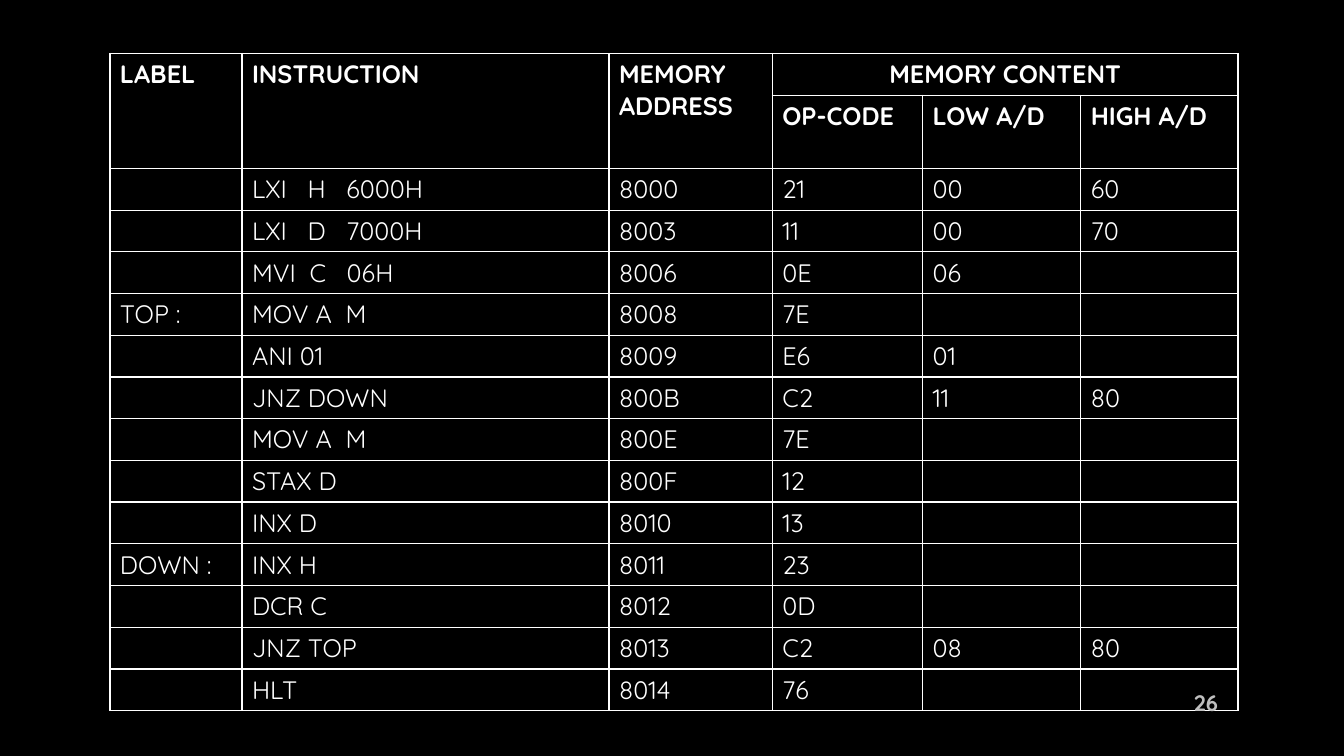
from lxml import etree
from pptx import Presentation
from pptx import util as u
from pptx.dml.color import RGBColor
from pptx.enum import text
from pptx.oxml import ns

BLACK = RGBColor(0x00, 0x00, 0x00)
WHITE = RGBColor(0xFF, 0xFF, 0xFF)
GREY = RGBColor(0xBF, 0xBF, 0xBF)

WIDTH, HEIGHT = 13.33, 7.5
COLUMNS = [1.31, 3.64, 1.62, 1.49, 1.57, 1.56]
ROW, SUBHEADER_ROW = 0.41, 0.72

HEADERS = [
    ["LABEL", "INSTRUCTION", "MEMORY ADDRESS", "MEMORY CONTENT", "", ""],
    ["", "", "", "OP-CODE", "LOW A/D", "HIGH A/D"],
]
PROGRAM = [
    ["", "LXI   H   6000H", "8000", "21", "00", "60"],
    ["", "LXI   D   7000H", "8003", "11", "00", "70"],
    ["", "MVI  C   06H", "8006", "0E", "06", ""],
    ["TOP :", "MOV A  M", "8008", "7E", "", ""],
    ["", "ANI 01", "8009", "E6", "01", ""],
    ["", "JNZ DOWN", "800B", "C2", "11", "80"],
    ["", "MOV A  M", "800E", "7E", "", ""],
    ["", "STAX D", "800F", "12", "", ""],
    ["", "INX D", "8010", "13", "", ""],
    ["DOWN :", "INX H", "8011", "23", "", ""],
    ["", "DCR C", "8012", "0D", "", ""],
    ["", "JNZ TOP", "8013", "C2", "08", "80"],
    ["", "HLT", "8014", "76", "", ""],
]
CLOSING_ROW = [""] * len(COLUMNS)
# Each merge runs from (row, column) to (row, column)
MERGES = [((0, column), (1, column)) for column in range(3)]
MERGES += [((0, 3), (0, 5)), ((15, 0), (15, 5))]


class SlideBuilder:
    """Holds the text style and the current slide."""

    style = {"name": "Quicksand", "size": u.Pt(18), "bold": False}

    def __init__(self, presentation):
        self.presentation = presentation
        self.slide = presentation.slides.add_slide(presentation.slide_layouts[6])
        self.slide.background.fill.solid()
        self.slide.background.fill.fore_color.rgb = BLACK

    def place(self, left, top, width, height):
        """Turn shares of the slide's size into lengths."""
        across, down = self.presentation.slide_width, self.presentation.slide_height
        return int(left * across), int(top * down), int(width * across), int(height * down)

    def add_words(self, paragraph, words, color=WHITE, align=text.PP_ALIGN.LEFT, **changes):
        paragraph.alignment = align
        run = paragraph.add_run()
        run.text = words
        for attribute, value in {**self.style, **changes}.items():
            setattr(run.font, attribute, value)
        run.font.color.rgb = color

    def border(self, cell, sides):
        properties = cell._tc.get_or_add_tcPr()
        for side in "LRTB":
            line = etree.SubElement(properties, ns.qn("a:ln" + side), w=str(u.Pt(1)))
            if side in sides:
                fill = etree.SubElement(line, ns.qn("a:solidFill"))
                etree.SubElement(fill, ns.qn("a:srgbClr"), val=str(WHITE))
            else:
                etree.SubElement(line, ns.qn("a:noFill"))

    def table(self, left, top, columns, heights, rows, header_count, merges):
        box = self.place(left, top, sum(columns) / WIDTH, sum(heights) / HEIGHT)
        table = self.slide.shapes.add_table(len(rows), len(columns), *box).table
        table.first_row = table.horz_banding = False
        for column, width in zip(table.columns, columns):
            column.width = u.Inches(width)
        for row, height in zip(table.rows, heights):
            row.height = u.Inches(height)
        for start, end in merges:
            table.cell(*start).merge(table.cell(*end))
        for i, values in enumerate(rows):
            for j, value in enumerate(values):
                cell = table.cell(i, j)
                self.border(cell, "T" if i == len(rows) - 1 else "LRTB")
                cell.fill.background()
                if value:
                    spread = cell.is_merge_origin and cell.span_width > 1
                    align = text.PP_ALIGN.CENTER if spread else text.PP_ALIGN.LEFT
                    self.add_words(cell.text_frame.paragraphs[0], value,
                                   align=align, bold=i < header_count)

    def label(self, words, left, top, width, height, **changes):
        frame = self.slide.shapes.add_textbox(*self.place(left, top, width, height)).text_frame
        frame.word_wrap = True
        frame.vertical_anchor = text.MSO_ANCHOR.MIDDLE
        self.add_words(frame.paragraphs[0], words, **changes)


def main():
    presentation = Presentation()
    presentation.slide_width = u.Inches(WIDTH)
    presentation.slide_height = u.Inches(HEIGHT)
    builder = SlideBuilder(presentation)

    # Assembly listing with its machine code
    rows = HEADERS + PROGRAM + [CLOSING_ROW]
    heights = [ROW, SUBHEADER_ROW] + [ROW] * (len(rows) - 2)
    builder.table(1.09 / WIDTH, 0.53 / HEIGHT, COLUMNS, heights, rows, len(HEADERS), MERGES)

    # Slide number
    builder.label("26", 11.58 / WIDTH, 6.77 / HEIGHT, 0.6 / WIDTH, 0.4 / HEIGHT,
                  color=GREY, align=text.PP_ALIGN.RIGHT, size=u.Pt(16), bold=True)

    presentation.save("out.pptx")


if __name__ == "__main__":
    main()
